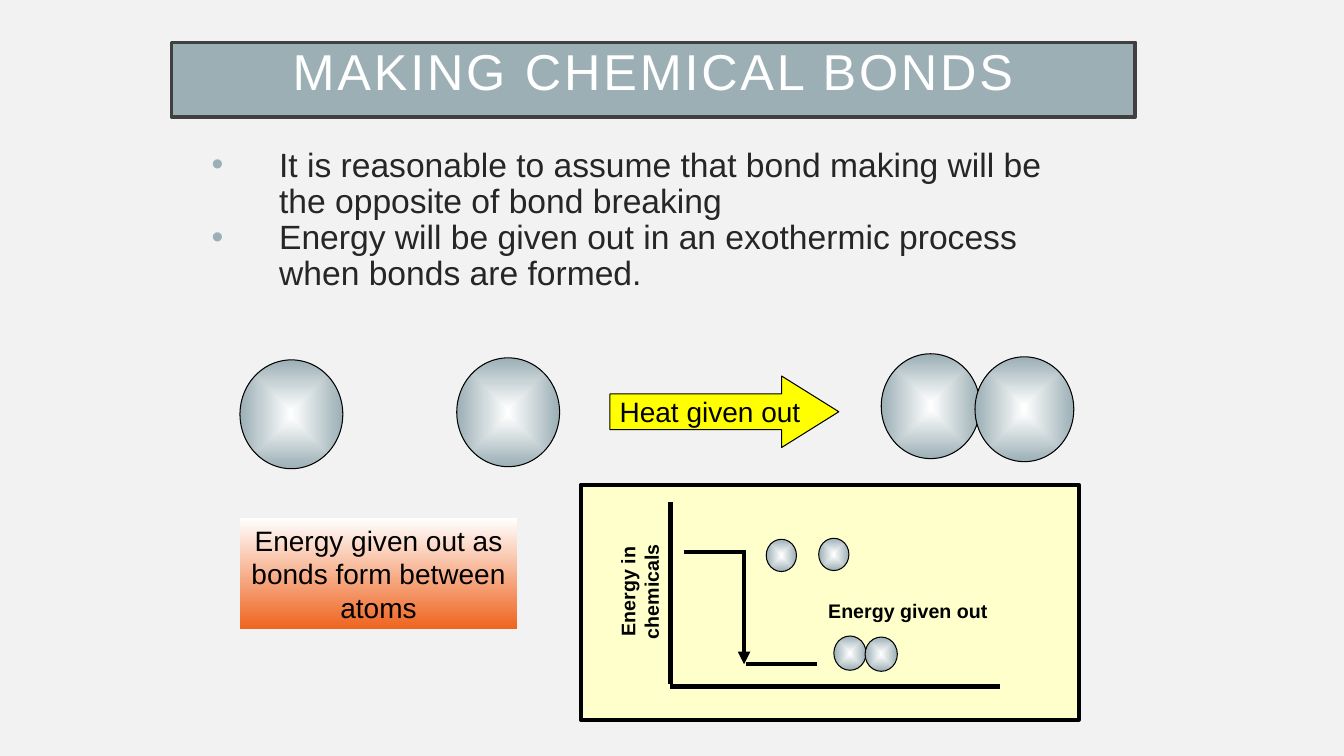
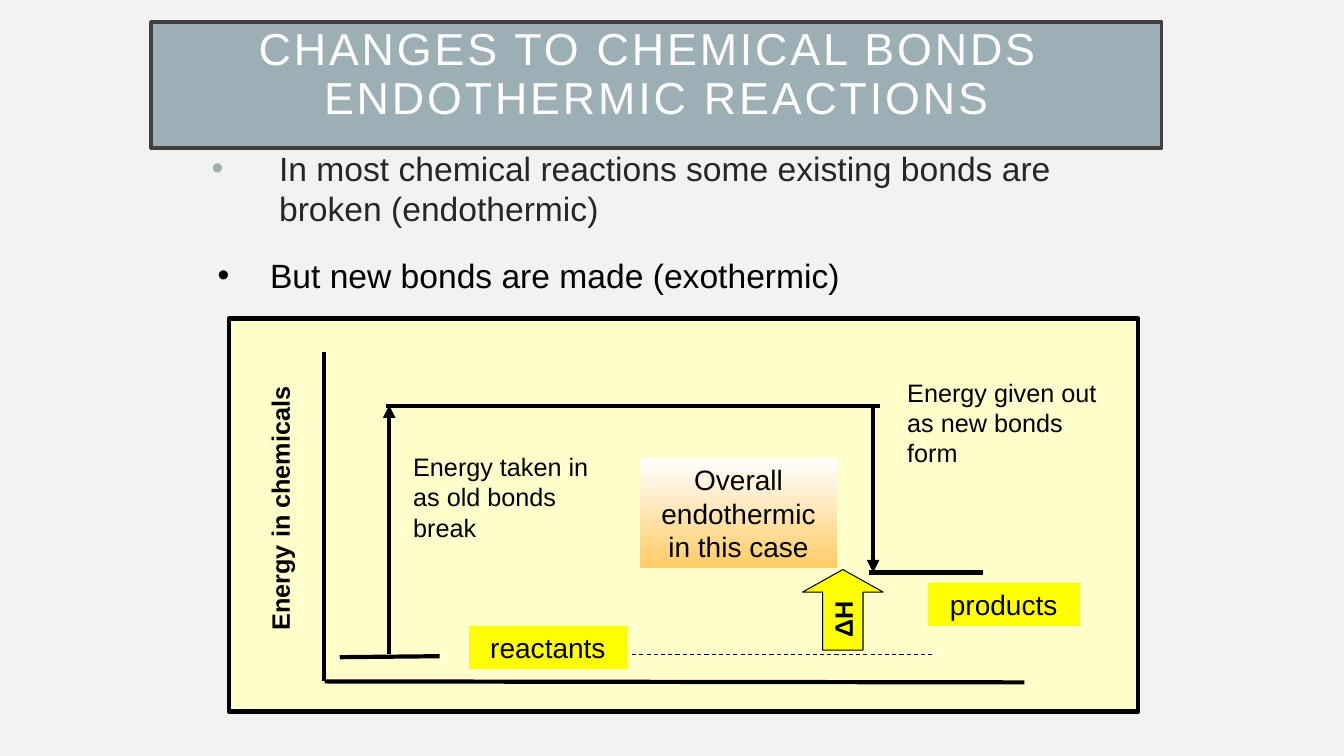
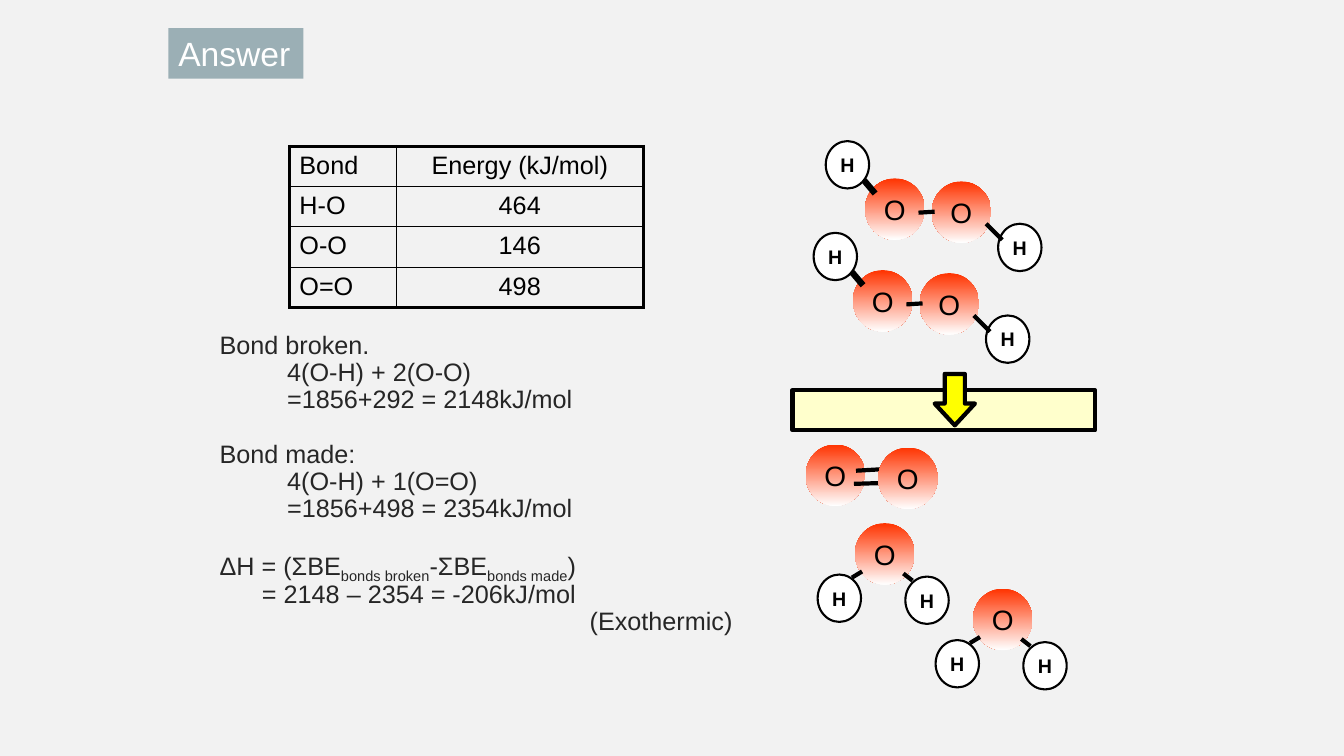
import pptx
import pptx.util
import pptx.dml.color
import pptx.enum.dml
import pptx.enum.shapes
import pptx.enum.text
import pptx.oxml
import pptx.oxml.ns
import lxml.etree

# Shared grid: one-inch cells, 13.33 columns by 7.5 rows
COLS, ROWS = 13.33, 7.5
CELL = pptx.util.Inches(1)

# Shared look
FONT = "Arial"
PAPER, SLATE, EDGE, INK = "F2F2F2", "9BAFB5", "404040", "262626"
BLACK, WHITE, CREAM, YELLOW = "000000", "FFFFFF", "FFFFCC", "FFFF00"
RED, ORANGE, GOLD = "FF3300", "EF641F", "FFCC66"
BALL = (WHITE, SLATE, "shape")
TIGHT = 0.9

KIND = pptx.enum.shapes.MSO_SHAPE
ALIGN = {"l": pptx.enum.text.PP_ALIGN.LEFT, "c": pptx.enum.text.PP_ALIGN.CENTER}
ANCHOR = {"t": pptx.enum.text.MSO_ANCHOR.TOP, "m": pptx.enum.text.MSO_ANCHOR.MIDDLE}
qn = pptx.oxml.ns.qn


def grid(cells):
    return round(cells * CELL)


def tint(code):
    return pptx.dml.color.RGBColor.from_string(code)


def child(node, tag, **attrs):
    item = lxml.etree.SubElement(node, qn(tag))
    for key, value in attrs.items():
        item.set(key, str(value))
    return item


# Text
def write(frame, text, size=20, color=BLACK, bold=False, align="l", track=0,
          space=None, before=0, left=0, first=0, bullet=None):
    """Add a paragraph; _marks_ lower a part, a vertical tab breaks the line."""
    para = frame.paragraphs[0]
    if para.runs:
        para = frame.add_paragraph()
        para.space_before = pptx.util.Pt(before)
    para.alignment = ALIGN[align]
    if space:
        para.line_spacing = space
    props = para._p.get_or_add_pPr()
    props.set("marL", str(grid(left)))
    props.set("indent", str(grid(first)))
    if bullet:
        child(child(props, "a:buClr"), "a:srgbClr", val=bullet)
        child(props, "a:buFont", typeface=FONT)
        child(props, "a:buChar", char="•")
    for row, line in enumerate(text.split("\v")):
        if row:
            para.add_line_break()
        for turn, part in enumerate(line.split("_")):
            run = para.add_run()
            run.text = part
            font = run.font
            font.name, font.size, font.bold = FONT, pptx.util.Pt(size), bold
            font.color.rgb = tint(color)
            mark = run._r.get_or_add_rPr()
            if track:
                mark.set("spc", str(track * 100))
            if turn % 2:
                mark.set("baseline", "-25000")


def setup(frame, anchor="t", wrap=True):
    frame.word_wrap = wrap
    frame.vertical_anchor = ANCHOR[anchor]
    return frame


def label(slide, at, text=None, anchor="t", wrap=True, turn=0, **style):
    note = slide.shapes.add_textbox(*map(grid, at))
    note.rotation = turn
    frame = setup(note.text_frame, anchor, wrap)
    if text:
        write(frame, text, **style)
    return frame


# Shapes
def paint(shape, fill):
    """Fill with one colour, or with (start, end, "down" or "shape")."""
    if isinstance(fill, str):
        shape.fill.solid()
        shape.fill.fore_color.rgb = tint(fill)
        return
    shape.fill.gradient()
    shape.fill.gradient_angle = 270
    for stop, color in zip(shape.fill.gradient_stops, fill):
        stop.color.rgb = tint(color)
    if fill[2] == "shape":
        grad = shape._element.spPr.find(qn("a:gradFill"))
        grad.remove(grad.find(qn("a:lin")))
        way = child(grad, "a:path", path="shape")
        child(way, "a:fillToRect", l=50000, t=50000, r=50000, b=50000)


def block(slide, kind, at, fill, text=None, width=0, edge=BLACK, adjust=(),
          turn=0, anchor="t", wrap=True, pad=None, align="c", **style):
    shape = slide.shapes.add_shape(kind, *map(grid, at))
    shape.shadow.inherit = False
    shape.rotation = turn
    for spot, value in enumerate(adjust):
        shape.adjustments[spot] = value
    paint(shape, fill)
    if width:
        shape.line.color.rgb = tint(edge)
        shape.line.width = pptx.util.Pt(width)
    else:
        shape.line.fill.background()
    if text:
        frame = setup(shape.text_frame, anchor, wrap)
        if pad is not None:
            frame.margin_left = frame.margin_right = grid(pad)
            frame.margin_top = frame.margin_bottom = grid(pad)
        write(frame, text, align=align, **style)


def title(slide, at, text, size):
    block(slide, KIND.RECTANGLE, at, SLATE, text, width=2.5, edge=EDGE,
          size=size, color=WHITE, track=2, space=TIGHT)


def panel(slide, at):
    block(slide, KIND.RECTANGLE, at, CREAM, width=3)


def ball(slide, *at):
    block(slide, KIND.OVAL, at, BALL, width=0.75)


def line(slide, x1, y1, x2, y2, width=3, arrow=False, dash=False):
    rule = slide.shapes.add_connector(
        pptx.enum.shapes.MSO_CONNECTOR.STRAIGHT, *map(grid, (x1, y1, x2, y2)))
    rule.line.color.rgb = tint(BLACK)
    rule.line.width = pptx.util.Pt(width)
    if dash:
        rule.line.dash_style = pptx.enum.dml.MSO_LINE.DASH
    props = rule._element.spPr
    if arrow:
        child(props.find(qn("a:ln")), "a:tailEnd", type="triangle")
    child(props, "a:effectLst")


# Molecules
def atom(slide, name, x, y):
    if name == "O":
        block(slide, KIND.OVAL, (x, y, 0.59, 0.61), (RED, WHITE, "down"), "O",
              anchor="m", wrap=False, pad=0)
    else:
        block(slide, KIND.OVAL, (x, y, 0.43, 0.47), WHITE, "H", width=1.5,
              anchor="m", wrap=False, pad=0, size=14, bold=True)


def build(slide, x, y, atoms, bonds):
    """Place atoms and bonds relative to the first oxygen."""
    for name, dx, dy in atoms:
        atom(slide, name, x + dx, y + dy)
    for x1, y1, x2, y2, width in bonds:
        line(slide, x + x1, y + y1, x + x2, y + y2, width)


WATER = ([("O", 0, 0), ("H", -0.37, 0.51), ("H", 0.5, 0.53)],
         [(-0.03, 0.54, 0.07, 0.48, 3), (0.48, 0.5, 0.57, 0.57, 3)])
PEROX = ([("O", 0, 0), ("O", 0.66, 0.03), ("H", -0.39, -0.37), ("H", 1.32, 0.45)],
         [(-0.01, 0.02, 0.1, 0.15, 4.5), (0.53, 0.34, 0.69, 0.33, 3),
          (1.2, 0.45, 1.36, 0.61, 3)])


# Table
def table(slide, at, widths, rows):
    grid_box = slide.shapes.add_table(len(rows), len(widths), *map(grid, at)).table
    grid_box.first_row = grid_box.horz_banding = False
    for col, wide in zip(grid_box.columns, widths):
        col.width = grid(wide)
    last, end = len(rows) - 1, len(widths) - 1
    for r, row in enumerate(rows):
        for c, text in enumerate(row):
            cell = grid_box.cell(r, c)
            write(cell.text_frame, text, size=18, align="c" if c else "l")
            props = cell._tc.get_or_add_tcPr()
            outer = {"L": c == 0, "R": c == end, "T": r == 0, "B": r == last}
            for side, out in outer.items():
                wide = pptx.util.Pt(2.25 if out else 1)
                rule = child(props, "a:ln" + side, w=int(wide))
                child(child(rule, "a:solidFill"), "a:srgbClr", val=BLACK)
            cell.fill.background()


# Slides
def making(slide):
    title(slide, (1.7, 0.42, 9.56, 0.74), "MAKING CHEMICAL BONDS", 36)
    body = label(slide, (2, 1.42, 8.45, 1.93))
    for text in ("It is reasonable to assume that bond making will be the opposite of bond breaking",
                 "Energy will be given out in an exothermic process when bonds are formed."):
        write(body, text, size=24, color=INK, space=TIGHT,
              left=0.67, first=-0.67, bullet=SLATE)

    # Atoms joining
    ball(slide, 2.38, 3.57, 1.02, 1.08)
    ball(slide, 4.53, 3.55, 1.02, 1.08)
    block(slide, KIND.RIGHT_ARROW, (6.05, 3.73, 2.27, 0.71), YELLOW, "Heat given out",
          width=0.75, adjust=(0.5, 0.8), anchor="m", wrap=False)
    ball(slide, 8.74, 3.51, 0.98, 1.04)
    ball(slide, 9.67, 3.54, 0.98, 1.04)
    block(slide, KIND.RECTANGLE, (2.38, 5.14, 2.75, 1.1), (WHITE, ORANGE, "down"),
          "Energy given out as bonds form between atoms")

    # Energy diagram
    panel(slide, (5.76, 4.81, 4.94, 2.33))
    line(slide, 6.65, 4.98, 6.65, 6.79)
    line(slide, 6.65, 6.81, 9.92, 6.81)
    label(slide, (5.38, 5.63, 1.92, 0.48), "Energy in chemicals", anchor="m",
          wrap=False, turn=270, size=14, bold=True, align="c")
    line(slide, 7.4, 6.59, 8.1, 6.59)
    line(slide, 6.78, 5.48, 7.4, 5.48)
    line(slide, 7.38, 5.49, 7.38, 6.59, arrow=True)
    ball(slide, 7.6, 5.35, 0.3, 0.32)
    ball(slide, 8.12, 5.34, 0.3, 0.32)
    ball(slide, 8.27, 6.31, 0.32, 0.34)
    ball(slide, 8.58, 6.32, 0.32, 0.34)
    label(slide, (7.98, 5.89, 2.05, 0.33), "Energy given out", size=14,
          bold=True, align="c")


def changes(slide):
    panel(slide, (2.27, 3.16, 9.02, 3.9))
    title(slide, (1.5, 0.22, 10.02, 1.25),
          "CHANGES TO CHEMICAL BONDS \vENDOTHERMIC REACTIONS", 32)
    label(slide, (2, 1.42, 9.24, 1.93),
          "In most chemical reactions some existing bonds are broken (endothermic)",
          size=24, color=INK, left=0.67, first=-0.67, bullet=SLATE)
    label(slide, (2.06, 2.48, 8.9, 0.5), "But new bonds are made (exothermic)",
          size=24, left=0.52, first=-0.52, bullet=BLACK)

    # Axes
    line(slide, 3.21, 3.49, 3.21, 6.76)
    line(slide, 3.22, 6.76, 10.16, 6.77)
    label(slide, (1.14, 4.71, 3.27, 0.67), "Energy in chemicals", anchor="m",
          wrap=False, turn=270, size=18, bold=True, align="c")

    # Energy levels and steps
    line(slide, 3.83, 4.03, 8.73, 4.03)
    line(slide, 3.37, 6.52, 4.36, 6.51)
    line(slide, 8.62, 5.68, 9.75, 5.68)
    line(slide, 3.86, 6.49, 3.86, 4.02, arrow=True)
    line(slide, 8.66, 4.03, 8.66, 5.68, arrow=True)
    line(slide, 6.27, 6.49, 9.27, 6.49, width=0.75, dash=True)

    # Labels
    label(slide, (4, 4.43, 2.2, 1.01), "Energy taken in as old bonds break", size=18)
    label(slide, (8.9, 3.69, 2.2, 1.01), "Energy given out as new bonds form", size=18)
    block(slide, KIND.RECTANGLE, (4.65, 6.21, 1.57, 0.43), YELLOW, "reactants")
    block(slide, KIND.RECTANGLE, (9.2, 5.78, 1.51, 0.43), YELLOW, "products")
    block(slide, KIND.RIGHT_ARROW, (7.96, 5.65, 0.8, 0.8), YELLOW, "ΔH ", width=0.75,
          adjust=(0.5, 0.28), turn=270, anchor="m", size=18, bold=True)
    block(slide, KIND.RECTANGLE, (6.35, 4.54, 1.95, 1.1), (WHITE, GOLD, "down"),
          "Overall endothermic in this case")


def answer(slide):
    block(slide, KIND.RECTANGLE, (1.67, 0.28, 1.34, 0.5), SLATE, "Answer",
          wrap=False, align="l", size=24, color=WHITE)
    table(slide, (2.87, 1.45, 3.51, 1.6), (1.06, 2.45),
          [("Bond", "Energy (kJ/mol)"), ("H-O", "464"), ("O-O", "146"), ("O=O", "498")])

    # Working: text, indent, space before
    work = label(slide, (2.08, 3.25, 5.39, 3.76))
    for text, left, before in (
            ("Bond broken.", 0, 0),
            ("4(O-H) + 2(O-O)", 0.67, 0),
            ("=1856+292 = 2148kJ/mol", 0.67, 0),
            ("Bond made:", 0, 19.5),
            ("4(O-H) + 1(O=O)", 0.67, 0),
            ("=1856+498 = 2354kJ/mol", 0.67, 0),
            ("ΔH = (ΣBE_bonds broken_-ΣBE_bonds made_)", 0, 19.5),
            ("= 2148 – 2354 = -206kJ/mol", 0.42, 0),
            ("(Exothermic)", 3.67, 0)):
        write(work, text, size=18, color=INK, space=TIGHT, left=left, before=before)

    # Reaction
    build(slide, 8.58, 1.77, *PEROX)
    build(slide, 8.46, 2.68, *PEROX)
    panel(slide, (7.86, 3.87, 3, 0.4))
    block(slide, KIND.DOWN_ARROW, (9.27, 3.71, 0.4, 0.51), YELLOW, width=3,
          adjust=(0.5, 0.54))
    atom(slide, "O", 7.99, 4.41)
    line(slide, 8.49, 4.67, 8.84, 4.65)
    line(slide, 8.47, 4.8, 8.82, 4.79)
    atom(slide, "O", 8.71, 4.44)
    build(slide, 8.48, 5.19, *WATER)
    build(slide, 9.65, 5.84, *WATER)


def main():
    deck = pptx.Presentation()
    deck.slide_width, deck.slide_height = grid(COLS), grid(ROWS)
    back = deck.slide_master.background.fill
    back.solid()
    back.fore_color.rgb = tint(PAPER)
    for draw in (making, changes, answer):
        draw(deck.slides.add_slide(deck.slide_layouts[6]))
    deck.save("out.pptx")


if __name__ == "__main__":
    main()
